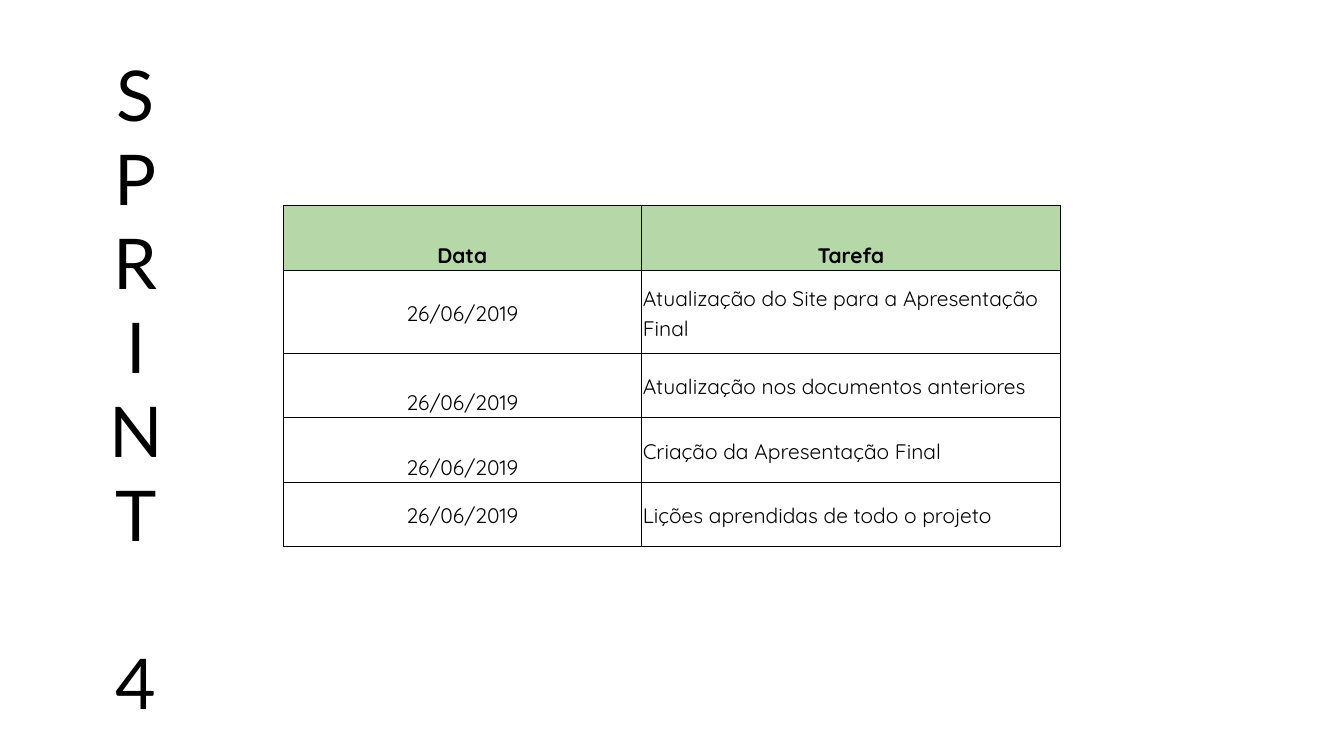
from lxml import etree
from pptx import Presentation
from pptx.dml.color import RGBColor
from pptx.enum import text
from pptx.oxml import ns
from pptx.util import Pt

BLACK = RGBColor(0, 0, 0)
WHITE = RGBColor(255, 255, 255)
GREEN = RGBColor(0xB6, 0xD7, 0xA8)
MID, LOW = text.MSO_ANCHOR.MIDDLE, text.MSO_ANCHOR.BOTTOM
LEFT, CENTER = text.PP_ALIGN.LEFT, text.PP_ALIGN.CENTER

DATE = "26/06/2019"
TASKS = [
    ("Atualização do Site para a Apresentação Final", MID),
    ("Atualização nos documentos anteriores", LOW),
    ("Criação da Apresentação Final", LOW),
    ("Lições aprendidas de todo o projeto", MID),
]


class Deck:
    def __init__(self, wide, high):
        self.prs = Presentation()
        self.prs.slide_width, self.prs.slide_height = Pt(wide), Pt(high)
        self.slide = self.prs.slides.add_slide(self.prs.slide_layouts[6])

    def style(self, para, face, size, align, bold=False):
        para.alignment = align
        font = para.font
        font.name, font.size, font.bold = face, Pt(size), bold
        font.color.rgb = BLACK

    def stack(self, word, digit, left, top, wide, high):
        """Write a word downwards, one letter a line, then a spaced digit."""
        box = self.slide.shapes.add_textbox(Pt(left), Pt(top), Pt(wide), Pt(high))
        frame = box.text_frame
        frame.word_wrap = True
        frame.margin_left = frame.margin_right = Pt(7.2)
        frame.margin_top = frame.margin_bottom = Pt(7.2)
        frame.text = "\n".join(word + digit)
        for para in frame.paragraphs:
            self.style(para, "Lato", 100, CENTER)
        frame.paragraphs[-1].space_before = Pt(120)

    def table(self, left, top, cols, rows):
        frame = self.slide.shapes.add_table(
            len(rows), len(cols), Pt(left), Pt(top), Pt(sum(cols)), Pt(sum(rows)))
        grid = frame.table
        for col, wide in zip(grid.columns, cols):
            col.width = Pt(wide)
        for row, high in zip(grid.rows, rows):
            row.height = Pt(high)
        return grid

    def cell(self, cell, words, anchor, align, fill=WHITE, bold=False):
        cell.text = words
        cell.vertical_anchor = anchor
        cell.margin_left = cell.margin_right = Pt(2.16)
        cell.margin_top = cell.margin_bottom = Pt(1.44)
        para = cell.text_frame.paragraphs[0]
        para.line_spacing = 1.15
        self.style(para, "Quicksand", 30, align, bold)
        self.border(cell)
        cell.fill.solid()
        cell.fill.fore_color.rgb = fill

    def border(self, cell):
        props = cell._tc.get_or_add_tcPr()
        for side in ("a:lnL", "a:lnR", "a:lnT", "a:lnB"):
            line = etree.SubElement(props, ns.qn(side), w=str(Pt(0.75)))
            fill = etree.SubElement(line, ns.qn("a:solidFill"))
            etree.SubElement(fill, ns.qn("a:srgbClr"), val=str(BLACK))


def main():
    deck = Deck(1919.52, 1080)
    grid = deck.table(404.64, 293.76, [511.2, 599.04],
                      [92.16, 118.08, 92.16, 92.16, 92.16])
    for col, head in enumerate(("Data", "Tarefa")):
        deck.cell(grid.cell(0, col), head, LOW, CENTER, GREEN, True)
    for row, (task, anchor) in enumerate(TASKS, 1):
        deck.cell(grid.cell(row, 0), DATE, anchor, CENTER)
        deck.cell(grid.cell(row, 1), task, MID, LEFT)
    deck.stack("SPRINT", "4", 117.36, 66.24, 153.36, 725.04)
    deck.prs.save("out.pptx")


if __name__ == "__main__":
    main()
